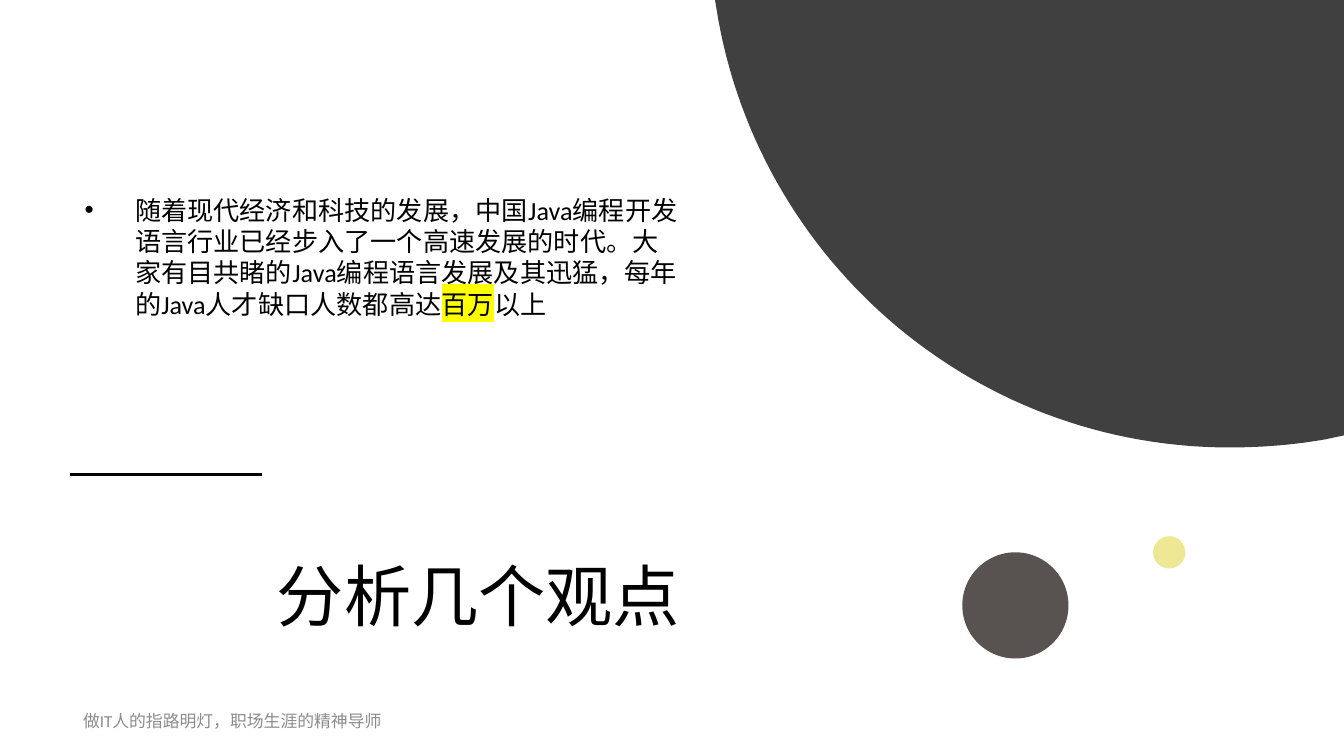
from dataclasses import dataclass

from lxml.etree import SubElement
from pptx import Presentation
from pptx.dml.color import RGBColor
from pptx.enum.shapes import MSO_CONNECTOR, MSO_SHAPE
from pptx.enum.text import MSO_ANCHOR, MSO_AUTO_SIZE, PP_ALIGN
from pptx.oxml import parse_xml
from pptx.oxml.ns import nsdecls, qn
from pptx.util import Inches, Pt


@dataclass(frozen=True)
class Theme:
    font: str = "Calibri"
    ink: str = "000000"
    muted: str = "8C8C8C"
    dark: str = "404040"
    brown: str = "585251"
    yellow: str = "EEE895"
    marker: str = "FFFF00"
    title_size: int = 36
    body_size: int = 14
    footer_size: int = 9


THEME = Theme()


def place(sp, box):
    sp.left, sp.top, sp.width, sp.height = map(Inches, box)


def paint(sp, color):
    sp.shadow.inherit = False
    sp.fill.solid()
    sp.fill.fore_color.rgb = RGBColor.from_string(color)
    sp.line.fill.background()


def write(sp, parts, size, color=THEME.ink, align=PP_ALIGN.LEFT, after=None):
    """Fill a text shape with (text, highlight colour or None) parts."""
    tf = sp.text_frame
    tf.word_wrap = True
    tf.auto_size = MSO_AUTO_SIZE.NONE
    tf.vertical_anchor = MSO_ANCHOR.MIDDLE
    p = tf.paragraphs[0]
    p.alignment = align
    if after is not None:
        p.space_after = Pt(after)
    for text, highlight in parts:
        r = p.add_run()
        r.text = text
        r.font.name = THEME.font
        r.font.size = Pt(size)
        r.font.color.rgb = RGBColor.from_string(color)
        if highlight:
            mark = parse_xml(f'<a:highlight {nsdecls("a")}><a:srgbClr val="{highlight}"/></a:highlight>')
            r.font._element.find(qn("a:solidFill")).addnext(mark)


def bezier(p0, p1, p2, p3, steps=60):
    """Points along a cubic curve, without its start."""
    for i in range(1, steps + 1):
        t = i / steps
        u = 1 - t
        yield tuple(u**3 * a + 3 * u * u * t * b + 3 * u * t * t * c + t**3 * d
                    for a, b, c, d in zip(p0, p1, p2, p3))


def add_big_disc(s, box):
    """Large disc cut off by the top and right slide edges."""
    x, y, w, h = box
    right, bottom = x + w, y + h
    shoulder, lowest = (right - 0.14, bottom - 0.06), (right - 0.85, bottom)
    points = [(right, y), (right, bottom - 0.09), shoulder]
    points += bezier(shoulder, (right - 0.37, bottom - 0.02), (right - 0.61, bottom), lowest)
    points += bezier(lowest, (x + 1.9, bottom), (x + 0.3, y + 1.91), (x + 0.01, y + 0.06))
    fb = s.shapes.build_freeform(Inches(x), Inches(y), scale=1.0)
    fb.add_line_segments([(Inches(px), Inches(py)) for px, py in points], close=True)
    paint(fb.convert_to_shape(), THEME.dark)


def add_dot(s, box, color):
    paint(s.shapes.add_shape(MSO_SHAPE.OVAL, *map(Inches, box)), color)


def add_rule(s, x, y, length):
    line = s.shapes.add_connector(MSO_CONNECTOR.STRAIGHT, Inches(x), Inches(y),
                                  Inches(x + length), Inches(y))
    line.line.color.rgb = RGBColor.from_string(THEME.ink)
    line.line.width = Pt(1.5)
    SubElement(line._element.spPr, qn("a:effectLst"))


def add_title(s, box):
    place(s.shapes.title, box)
    write(s.shapes.title, [("分析几个观点", None)], THEME.title_size, align=PP_ALIGN.CENTER)


def add_body(s, box):
    sp = s.placeholders[1]
    place(sp, box)
    write(sp, [
        ("随着现代经济和科技的发展，中国Java编程开发语言行业已经步入了一个高速发展的时代。"
         "大家有目共睹的Java编程语言发展及其迅猛，每年的Java人才缺口人数都高达", None),
        ("百万", THEME.marker),
        ("以上", None),
    ], THEME.body_size)


def add_footer(s, box):
    sp = s.shapes.add_textbox(*map(Inches, box))
    write(sp, [("做IT人的指路明灯，职场生涯的精神导师", None)],
          THEME.footer_size, color=THEME.muted, after=6)


def main():
    prs = Presentation()
    # Widescreen, 16:9
    prs.slide_width = Inches(10)
    prs.slide_height = Inches(10 * 9 / 16)
    s = prs.slides.add_slide(prs.slide_layouts[1])

    # Decoration
    add_rule(s, 0.52, 3.53, 1.43)
    add_dot(s, (7.16, 4.11, 0.79, 0.79), THEME.brown)
    add_dot(s, (8.58, 3.99, 0.24, 0.24), THEME.yellow)
    add_big_disc(s, (5.32, 0, 4.68, 3.33))

    # Text
    add_body(s, (0.53, 0.49, 4.66, 2.84))
    add_footer(s, (0.52, 5.21, 5.54, 0.3))
    add_title(s, (0.52, 3.71, 6.08, 1.43))

    prs.save("out.pptx")


if __name__ == "__main__":
    main()
